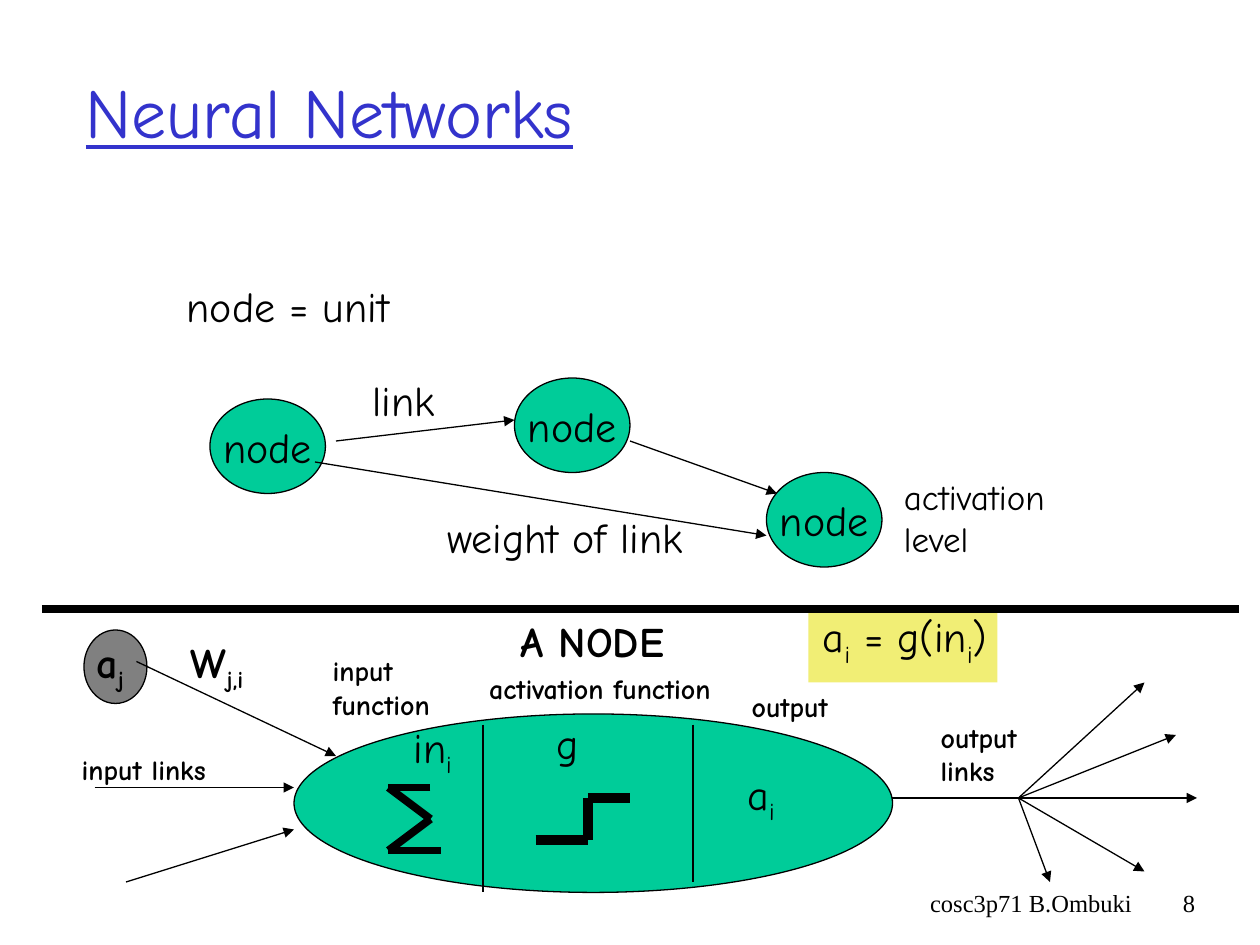
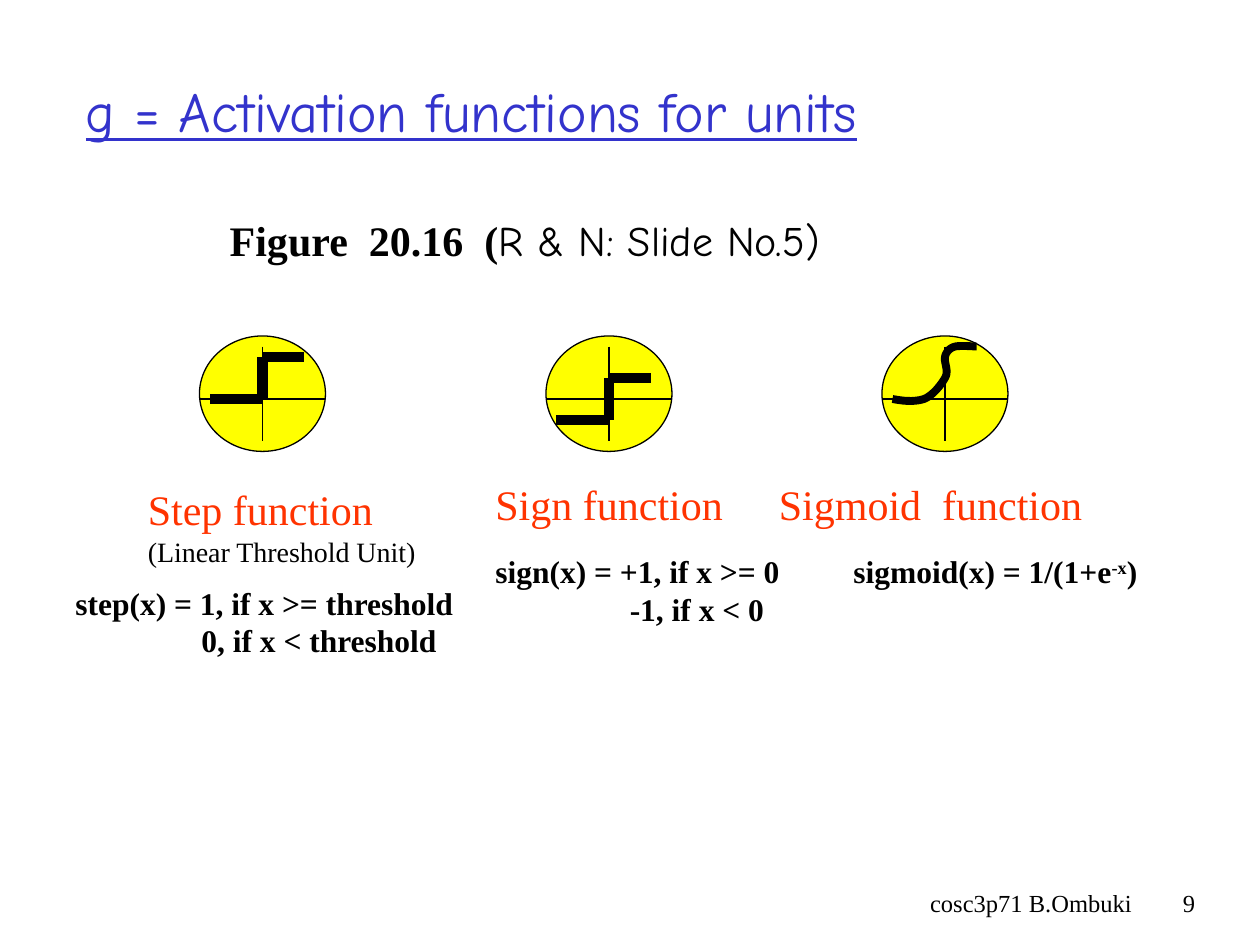
from pptx import Presentation
from pptx.dml.color import RGBColor
from pptx.enum.shapes import MSO_CONNECTOR, MSO_SHAPE
from pptx.enum.text import MSO_ANCHOR, MSO_AUTO_SIZE, PP_ALIGN
from pptx.oxml.ns import qn
from pptx.util import Emu, Pt
from lxml.etree import SubElement

PX = 7620  # 120 px to the inch
COMIC, TIMES = "Comic Neue", "Times New Roman"
BLACK, BLUE, GREEN, GREY = "000000", "3333CC", "00CC99", "808080"
PALE, YELLOW, RED = "F1EE75", "FFFF00", "FF3300"
SUB, SUP = {"base": -25}, {"base": 30}


def px(n):
    return Emu(round(n * PX))


def rgb(value):
    return RGBColor.from_string(value)


def write(tf, paras, size=24, font=COMIC, color=BLACK, bold=False,
          underline=False, align=PP_ALIGN.LEFT, indents=()):
    """Each paragraph is a string or a list of strings and (string, format) runs."""
    for i, para in enumerate(paras):
        p = tf.paragraphs[0] if i == 0 else tf.add_paragraph()
        p.alignment = align
        if i < len(indents):
            p._p.get_or_add_pPr().set("marL", str(px(indents[i])))
        for run in [para] if isinstance(para, str) else para:
            text, own = (run, {}) if isinstance(run, str) else run
            r = p.add_run()
            r.text = text
            r.font.size = Pt(own.get("size", size))
            r.font.name = own.get("font", font)
            r.font.bold = own.get("bold", bold)
            r.font.underline = underline
            r.font.color.rgb = rgb(own.get("color", color))
            if "base" in own:
                r._r.get_or_add_rPr().set("baseline", str(own["base"] * 1000))


class Deck:
    def __init__(self):
        self.prs = Presentation()
        self.prs.slide_width, self.prs.slide_height = px(1200), px(900)
        self.s = None

    def slide(self, title, size, number):
        self.s = self.prs.slides.add_slide(self.prs.slide_layouts[6])
        self.text(70, 30, 1020, 150, title, size=size, color=BLUE,
                  underline=True, anchor=MSO_ANCHOR.MIDDLE)
        for x, w, words in ((710, 380, "cosc3p71 B.Ombuki"), (1090, 60, number)):
            self.text(x, 840, w, 60, words, size=14, font=TIMES, align=PP_ALIGN.RIGHT)

    def text(self, x, y, w, h, *paras, anchor=MSO_ANCHOR.TOP, **fmt):
        tf = self.s.shapes.add_textbox(px(x), px(y), px(w), px(h)).text_frame
        tf.word_wrap = True
        tf.auto_size = MSO_AUTO_SIZE.NONE
        tf.vertical_anchor = anchor
        write(tf, paras, **fmt)

    def shape(self, kind, x, y, w, h, fill, outline=True, label=None):
        sp = self.s.shapes.add_shape(kind, px(x), px(y), px(w), px(h))
        sp.shadow.inherit = False
        sp.fill.solid()
        sp.fill.fore_color.rgb = rgb(fill)
        if outline:
            sp.line.color.rgb = rgb(BLACK)
            sp.line.width = Pt(0.75)
        else:
            sp.line.fill.background()
        if label:
            tf = sp.text_frame
            tf.word_wrap = False
            tf.vertical_anchor = MSO_ANCHOR.MIDDLE
            write(tf, [label], align=PP_ALIGN.CENTER)

    def ellipse(self, *box, **opts):
        self.shape(MSO_SHAPE.OVAL, *box, **opts)

    def line(self, start, end, width=0.75, arrow=False):
        c = self.s.shapes.add_connector(
            MSO_CONNECTOR.STRAIGHT, *(px(n) for n in (*start, *end)))
        c.line.color.rgb = rgb(BLACK)
        c.line.width = Pt(width)
        if arrow:
            SubElement(c.line._get_or_add_ln(), qn("a:tailEnd"), type="triangle")
        SubElement(c._element.spPr, qn("a:effectLst"))

    def arrow(self, start, end):
        self.line(start, end, arrow=True)

    def polyline(self, points, width):
        for start, end in zip(points, points[1:]):
            self.line(start, end, width)

    def curve(self, start, segments, width, steps=12):
        """Draw a chain of cubic Bezier segments as an open outline."""
        points, a = [], start
        for b, c, d in segments:
            for t in (k / steps for k in range(1, steps + 1)):
                u = 1 - t
                points.append(tuple(
                    px(u**3 * a[i] + 3 * u * u * t * b[i] + 3 * u * t * t * c[i] + t**3 * d[i])
                    for i in (0, 1)))
            a = d
        fb = self.s.shapes.build_freeform(px(start[0]), px(start[1]))
        fb.add_line_segments(points, close=False)
        sp = fb.convert_to_shape()
        sp.shadow.inherit = False
        sp.fill.background()
        sp.line.color.rgb = rgb(BLACK)
        sp.line.width = Pt(width)


def neural_networks(d):
    d.slide("Neural Networks", 40, "8")

    # Small network of three nodes
    for x, y in ((200, 380), (490, 360), (730, 450)):
        d.ellipse(x, y, 110, 90, fill=GREEN, label="node")
    for start, end in (((320, 420), (490, 400)), ((600, 420), (740, 470)),
                       ((300, 440), (730, 510))):
        d.arrow(start, end)
    d.text(166, 261, 225, 60, "node = unit")
    d.text(343, 351, 90, 60, "link")
    d.text(414, 481, 260, 60, "weight of link")
    d.text(849, 447, 165, 92, "activation", "level", size=20)

    # Divider, heading and formula
    d.shape(MSO_SHAPE.RECTANGLE, 770, 580, 180, 70, fill=PALE, outline=False)
    d.line((40, 580), (1180, 580), 4.5)
    d.text(484, 580, 170, 60, "A NODE", bold=True)
    d.text(772, 576, 190, 67, ["a", ("i", SUB), " = g(in", ("i", SUB), ")"])

    # Inside of the node
    d.ellipse(280, 680, 570, 170, fill=GREEN)
    d.line((460, 690), (460, 850))
    d.line((660, 690), (660, 840))
    d.polyline([(410, 750), (370, 750), (410, 780), (370, 810), (420, 810)], 4.5)
    d.polyline([(510, 800), (560, 800), (560, 760), (600, 760)], 6)
    d.text(382, 681, 70, 67, ["in", ("i", SUB)])
    d.text(518, 677, 50, 60, "g")
    d.text(700, 726, 60, 67, ["a", ("i", SUB)])

    # Input and output links
    d.ellipse(80, 600, 60, 70, fill=GREY)
    d.text(80, 600, 107, 67, ["a", ("j", SUB)], bold=True)
    d.text(170, 600, 112, 67, ["W", ("j,i", SUB)], bold=True)
    for start, end in (((130, 630), (320, 720)), ((90, 750), (280, 750)),
                       ((120, 840), (280, 790)), ((850, 760), (1140, 760))):
        d.arrow(start, end)
    for end in ((1090, 650), (1120, 700), (1090, 830), (1000, 840)):
        d.arrow((970, 760), end)

    # Part names
    for x, y, w, h, *words in ((305, 617, 125, 77, "input", "function"),
                               (454, 634, 245, 44, "activation function"),
                               (704, 651, 105, 44, "output"),
                               (66, 711, 150, 44, "input links"),
                               (884, 680, 105, 77, "output", "links")):
        d.text(x, y, w, h, *words, size=16, bold=True)


def activation_functions(d):
    d.slide("g = Activation functions for units", 32, "9")
    d.text(207, 198, 600, 108,
           ["Figure  20.16  (", ("R & N: Slide No.5)", {"font": COMIC, "bold": False})],
           font=TIMES, bold=True)

    # Round plots with axes
    step_x, sign_x, sigmoid_x = 190, 520, 840
    for x in (step_x, sign_x, sigmoid_x):
        d.ellipse(x, 320, 120, 110, fill=YELLOW)
        d.line((x + 60, 330), (x + 60, 420))
        d.line((x, 380), (x + 120, 380))
    for x, low in ((step_x, 380), (sign_x, 400)):
        d.polyline([(x + 10, low), (x + 60, low), (x + 60, low - 40), (x + 100, low - 40)], 6)
    d.curve((850, 380), [((860, 382), (871, 383), (880, 380)),
                         ((888, 377), (896, 367), (900, 360)),
                         ((904, 353), (899, 346), (900, 340)),
                         ((901, 335), (905, 331), (910, 330)),
                         ((916, 329), (926, 330), (930, 330))], 4.5)

    # Function names
    name = {"font": TIMES, "color": RED}
    d.text(129, 455, 290, 92, "Step function",
           [("(Linear Threshold Unit)", {"size": 16, "color": BLACK})], **name)
    d.text(460, 450, 250, 60, "Sign function", **name)
    d.text(730, 450, 470, 60, "Sigmoid  function", **name)

    # Formulas
    formula = {"size": 18, "font": TIMES, "bold": True}
    d.text(60, 550, 395, 120, "step(x) = 1, if x >= threshold",
           "0, if x < threshold", indents=(0, 120), **formula)
    d.text(460, 520, 305, 84, "sign(x) = +1, if x >= 0", "-1, if x < 0",
           indents=(0, 128), **formula)
    d.text(801, 520, 305, 48, ["sigmoid(x) = 1/(1+e", ("-x", SUP), ")"], **formula)


def main():
    d = Deck()
    neural_networks(d)
    activation_functions(d)
    d.prs.save("out.pptx")


if __name__ == "__main__":
    main()
